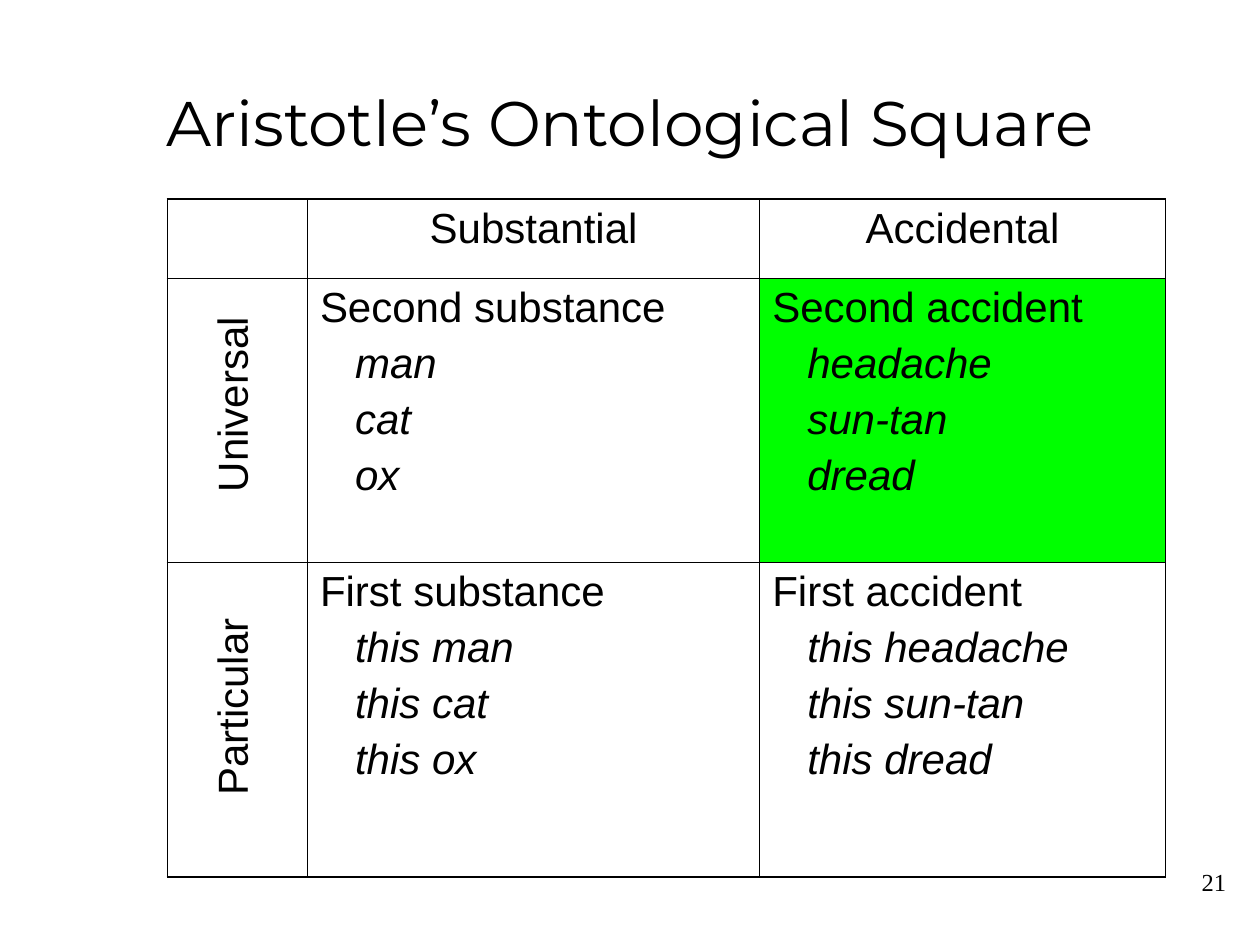
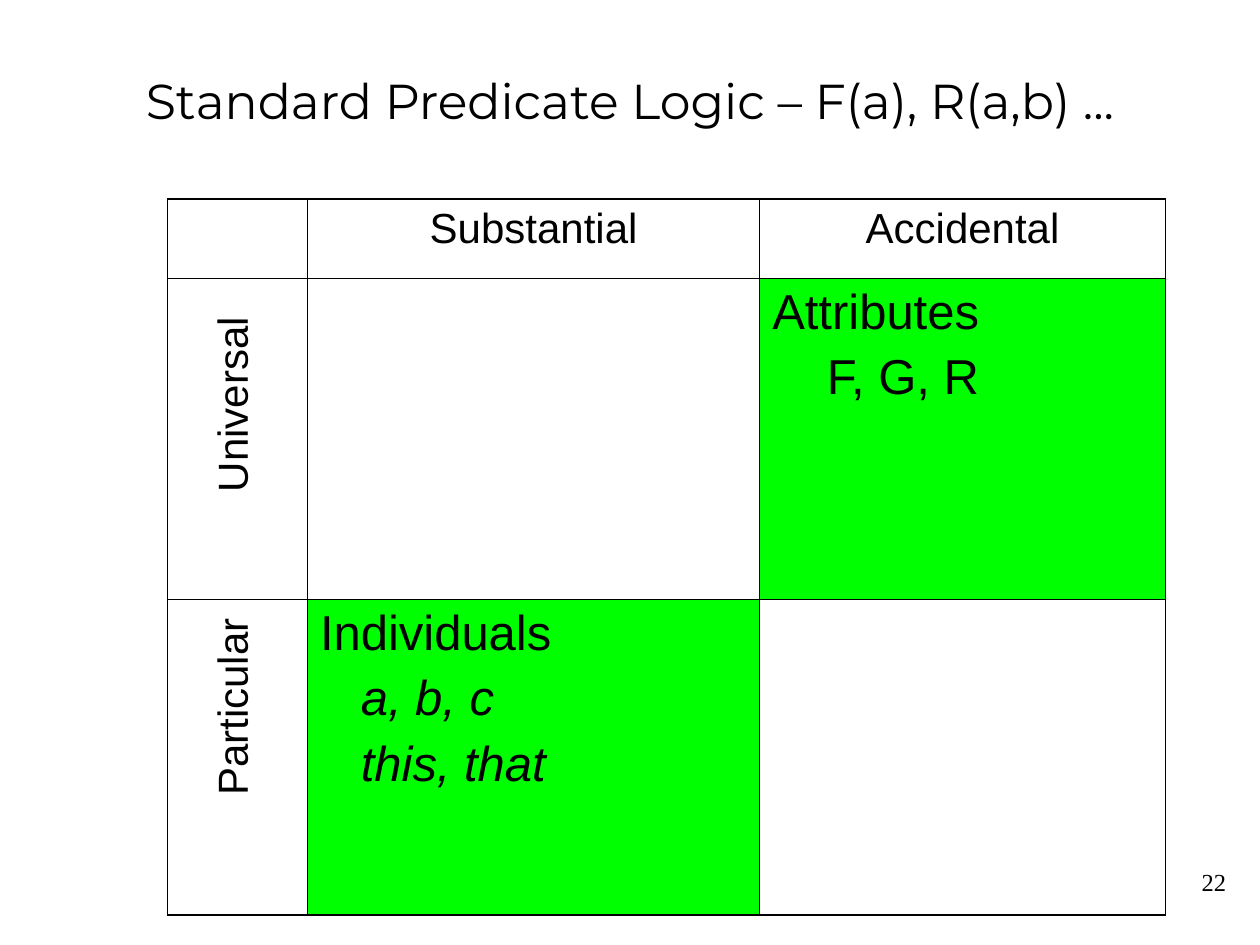
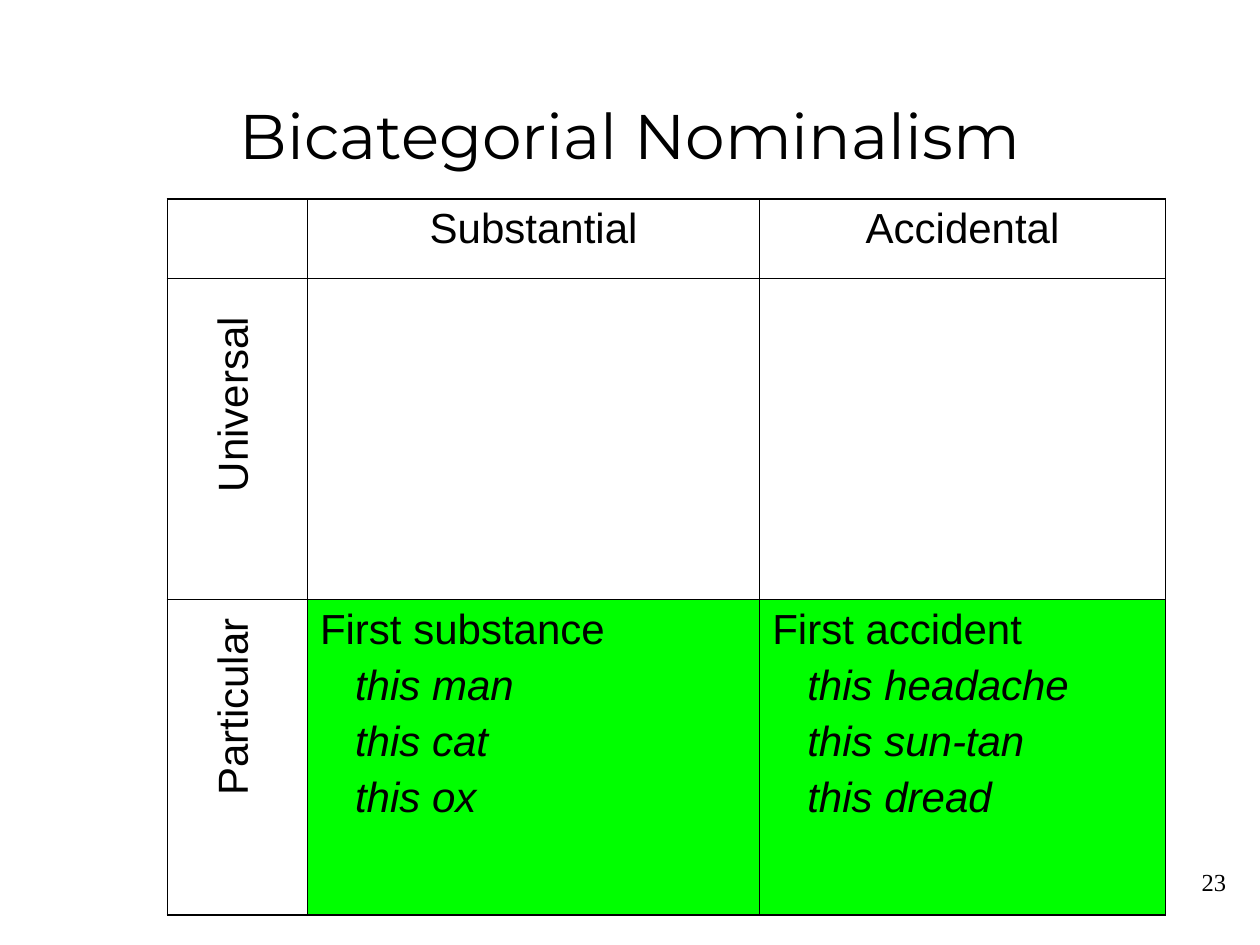
from dataclasses import dataclass, field
from typing import NamedTuple

from lxml.etree import SubElement
from pptx import Presentation
from pptx.dml.color import RGBColor
from pptx.enum.text import MSO_ANCHOR, PP_ALIGN as Align
from pptx.oxml.ns import qn
from pptx.util import Emu, Inches, Pt

# Shared look
COLORS = {"ink": "000000", "paper": "FFFFFF", "marked": "00FF00"}
TITLE_FONT, BODY_FONT, NUMBER_FONT = "Montserrat", "Arial", "Times New Roman"
WIDTH, HEIGHT = Inches(10), Inches(7.5)
OUTER_LINE, INNER_LINE = 1.08, 0.45
SPACE_SHARE = 0.22  # space before a line, as a share of its text size
BLANK_SHARE = 0.278  # width of one blank, as a share of the text size
FIRST_NUMBER = 21

# Table grid, in percent of the slide
TABLE_LEFT, TABLE_TOP = 13.3, 21.07
COLUMNS = (11.1, 35.9, 32.2)
HEADER_ROW, PARTICULAR_ROW = 8.4, 33.33
HEADINGS = ("Substantial", "Accidental")


class Box(NamedTuple):
    """A place in percent of the slide's width and height."""
    left: float
    top: float
    width: float
    height: float

    def emu(self) -> tuple[Emu, ...]:
        sides = (WIDTH, HEIGHT, WIDTH, HEIGHT)
        return tuple(Emu(round(side * share / 100)) for side, share in zip(sides, self))


class Style(NamedTuple):
    size: float
    font: str = BODY_FONT
    align: Align = Align.LEFT
    italic: bool = False


@dataclass
class Cell:
    head: str = ""
    examples: tuple[str, ...] = ()
    marked: bool = False
    size: int = 24
    italic: bool = True
    blanks: int = 3


@dataclass
class Square:
    title: str
    title_box: Box
    title_size: int = 36
    universal_row: float = 34
    universal: tuple[Cell, Cell] = field(default_factory=lambda: (Cell(), Cell()))
    particular: tuple[Cell, Cell] = field(default_factory=lambda: (Cell(), Cell()))


ROW_LABELS = {
    "Universal": Box(9.9, 38.8, 16.9, 6.67),
    "Particular": Box(9.9, 70.93, 16.9, 6.67),
}
NUMBER_BOX = Box(77.5, 91.07, 20.8, 6.67)


def first_cells(marked: bool) -> tuple[Cell, Cell]:
    return (Cell("First substance", ("this man", "this cat", "this ox"), marked),
            Cell("First accident", ("this headache", "this sun-tan", "this dread"), marked))


SQUARES = (
    Square("Aristotle’s Ontological Square", Box(7.5, 8.93, 85, 7.73), universal_row=30,
           universal=(Cell("Second substance", ("man", "cat", "ox")),
                      Cell("Second accident", ("headache", "sun-tan", "dread"), True)),
           particular=first_cells(False)),
    Square("Standard Predicate Logic – F(a), R(a,b) ...", Box(2.5, 6.67, 95, 7.73), 28,
           universal=(Cell(), Cell("Attributes", ("F, G, R",), True, 28, False, 4)),
           particular=(Cell("Individuals", ("a, b, c", "this, that"), True, 28), Cell())),
    Square("Bicategorial Nominalism", Box(7.5, 10.4, 85, 7.73),
           particular=first_cells(True)),
)


def write(p, text: str, style: Style) -> None:
    p.alignment = style.align
    r = p.add_run()
    r.text = text
    r.font.name, r.font.size, r.font.italic = style.font, Pt(style.size), style.italic
    r.font.color.rgb = RGBColor.from_string(COLORS["ink"])


def add_text(slide, box: Box, text: str, style: Style, rotation: float = 0) -> None:
    sp = slide.shapes.add_textbox(*box.emu())
    sp.rotation = rotation
    sp.text_frame.word_wrap = True
    write(sp.text_frame.paragraphs[0], text, style)


def add_title(slide, square: Square) -> None:
    sp = slide.shapes.title
    sp.left, sp.top, sp.width, sp.height = square.title_box.emu()
    tf = sp.text_frame
    tf.vertical_anchor = MSO_ANCHOR.MIDDLE
    write(tf.paragraphs[0], square.title, Style(square.title_size, TITLE_FONT, Align.CENTER))


def set_borders(cell, row: int, col: int, last_row: int, last_col: int) -> None:
    outer = {"lnL": col == 0, "lnR": col == last_col, "lnT": row == 0, "lnB": row == last_row}
    tc_pr = cell._tc.get_or_add_tcPr()
    for tag, is_outer in outer.items():
        width = Pt(OUTER_LINE if is_outer else INNER_LINE)
        ln = SubElement(tc_pr, qn(f"a:{tag}"), w=str(width))
        SubElement(SubElement(ln, qn("a:solidFill")), qn("a:srgbClr"), val=COLORS["ink"])


def fill_cell(cell, content: Cell) -> None:
    cell.fill.solid()
    color = COLORS["marked" if content.marked else "paper"]
    cell.fill.fore_color.rgb = RGBColor.from_string(color)
    if not content.head:
        return
    tf = cell.text_frame
    write(tf.paragraphs[0], content.head, Style(content.size))
    for example in content.examples:
        p = tf.add_paragraph()
        p.space_before = Pt(content.size * SPACE_SHARE)
        indent = Pt(content.blanks * BLANK_SHARE * content.size)
        p._p.get_or_add_pPr().set("marL", str(indent))
        write(p, example, Style(content.size, italic=content.italic))


def add_square(slide, square: Square) -> None:
    row_heights = (HEADER_ROW, square.universal_row, PARTICULAR_ROW)
    contents = ((Cell(),) + tuple(Cell(name) for name in HEADINGS),
                (Cell(),) + square.universal,
                (Cell(),) + square.particular)
    box = Box(TABLE_LEFT, TABLE_TOP, sum(COLUMNS), sum(row_heights))
    table = slide.shapes.add_table(len(row_heights), len(COLUMNS), *box.emu()).table
    table.first_row = table.horz_banding = False
    for column, share in zip(table.columns, COLUMNS):
        column.width = Emu(round(WIDTH * share / 100))
    for row, share in zip(table.rows, row_heights):
        row.height = Emu(round(HEIGHT * share / 100))
    for i, row in enumerate(contents):
        for j, content in enumerate(row):
            cell = table.cell(i, j)
            set_borders(cell, i, j, len(row_heights) - 1, len(COLUMNS) - 1)
            fill_cell(cell, content)
            if i == 0:
                cell.text_frame.paragraphs[0].alignment = Align.CENTER


def main() -> None:
    prs = Presentation()
    prs.slide_width, prs.slide_height = WIDTH, HEIGHT
    title_only = prs.slide_layouts[5]
    for number, square in enumerate(SQUARES, FIRST_NUMBER):
        slide = prs.slides.add_slide(title_only)
        add_title(slide, square)
        add_square(slide, square)
        # Row labels read upwards
        for label, box in ROW_LABELS.items():
            add_text(slide, box, label, Style(24), rotation=270)
        add_text(slide, NUMBER_BOX, str(number), Style(14, NUMBER_FONT, Align.RIGHT))
    prs.save("out.pptx")


if __name__ == "__main__":
    main()
